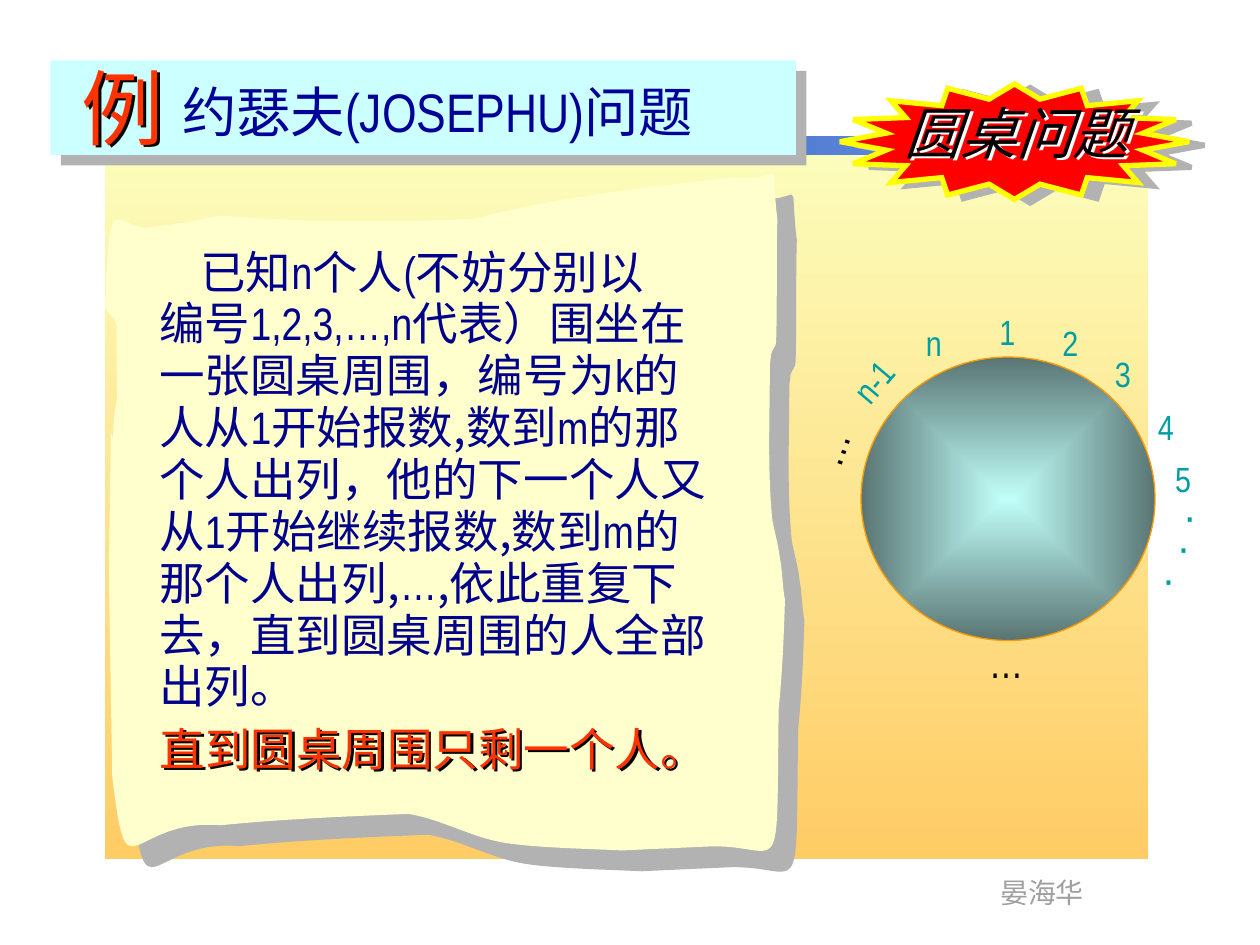
from lxml import etree
from pptx import Presentation
from pptx.dml.color import RGBColor
from pptx.enum.shapes import MSO_SHAPE
from pptx.enum.text import MSO_AUTO_SIZE, PP_ALIGN
from pptx.oxml import parse_xml
from pptx.oxml.ns import nsdecls, qn
from pptx.util import Pt

RECT, OVAL, STAR = MSO_SHAPE.RECTANGLE, MSO_SHAPE.OVAL, MSO_SHAPE.STAR_16_POINT
GROW = MSO_AUTO_SIZE.SHAPE_TO_FIT_TEXT
CENTER = PP_ALIGN.CENTER

CREAM, SAND = RGBColor(0xFC, 0xFE, 0xBC), RGBColor(0xFF, 0xCC, 0x66)
STEEL, SKY = RGBColor(0x2F, 0x47, 0x76), RGBColor(0x66, 0x99, 0xFF)
MINT, MOSS = RGBColor(0xC1, 0xFE, 0xF9), RGBColor(0x59, 0x75, 0x73)
PAPER, ICE = RGBColor(0xFF, 0xFF, 0xCD), RGBColor(0xCC, 0xFF, 0xFF)
RED, YELLOW = RGBColor(0xFF, 0, 0), RGBColor(0xFF, 0xFF, 0)
ORANGE, FLAME = RGBColor(0xFF, 0x99, 0), RGBColor(0xFF, 0x33, 0)
NAVY, BLUE = RGBColor(0, 0, 0x8C), RGBColor(0, 0, 0x99)
TEAL, BLACK = RGBColor(0, 0x9E, 0xA1), RGBColor(0, 0, 0)
GRAY, SILVER = RGBColor(0x9F, 0x9F, 0x9F), RGBColor(0xB2, 0xB2, 0xB2)
WHITE = RGBColor(0xFF, 0xFF, 0xFF)

NARROW, HAN, KANJI = "Arial Narrow", "Noto Sans CJK SC", "Noto Sans CJK JP"

BODY = [
    ["已知", "n", "个人", "(", "不妨分别以"],
    ["编号", "1,2,3,…,n", "代表）围坐在"],
    ["一张圆桌周围，编号为", "k", "的"],
    ["人从", "1", "开始报数,数到", "m", "的那"],
    ["个人出列，他的下一个人又"],
    ["从", "1", "开始继续报数,数到", "m", "的"],
    ["那个人出列,", "…", ",依此重复下"],
    ["去，直到圆桌周围的人全部"],
    ["出列。"],
]

SEATS = [
    ("1", 564, 174, 36, 31, 20, TEAL, 0),
    ("2", 600, 180, 36, 31, 20, TEAL, 0),
    ("3", 630, 198, 36, 31, 20, TEAL, 0),
    ("n", 522, 180, 42, 31, 20, TEAL, 0),
    ("…", 558, 360, 52, 36, 24, BLACK, 0),
    ("4", 654, 228, 24.5, 31, 20, TEAL, 0),
    ("5", 664.5, 258, 24.5, 31, 20, TEAL, 0),
    ("·", 669.6, 276, 20, 36, 24, TEAL, 0),
    ("·", 666, 294, 20, 36, 24, TEAL, 0),
    ("·", 657.4, 312, 20, 36, 24, TEAL, 0),
    ("n-1", 474.5, 190.8, 68.4, 31, 20, TEAL, 310.4),
    ("…", 451.4, 229.5, 52, 36, 24, BLACK, 288.9),
]

START = (1.12, 1.81)
CURVES = [
    (1.34, 1.79, 1.53, 1.76, 1.74, 1.71),
    (2.42, 1.77, 3.03, 1.76, 3.75, 1.74),
    (4.43, 1.56, 5.12, 1.49, 5.81, 1.41),
    (6.25, 1.46, 6.1, 1.17, 6.17, 1.74),
    (6.16, 2.07, 6.17, 2.39, 6.16, 2.71),
    (6.16, 2.75, 6.13, 2.77, 6.12, 2.81),
    (6.12, 2.84, 6.11, 2.87, 6.11, 2.91),
    (6.11, 3.32, 6.09, 3.74, 6.13, 4.13),
    (6.15, 4.23, 6.18, 4.34, 6.19, 4.43),
    (6.21, 4.53, 6.21, 4.66, 6.23, 4.76),
    (6.22, 5.08, 6.21, 5.32, 6.18, 5.63),
    (6.16, 7.13, 6.23, 6.68, 5.59, 6.72),
    (5.37, 6.73, 5.15, 6.74, 4.94, 6.75),
    (4.76, 6.74, 4.25, 6.73, 4.01, 6.69),
    (3.75, 6.65, 3.5, 6.5, 3.24, 6.46),
    (2.74, 6.48, 2.25, 6.5, 1.75, 6.55),
    (1.01, 6.49, 1.01, 7.17, 0.89, 6.15),
    (0.86, 4.09, 0.86, 5.03, 0.88, 3.34),
    (0.88, 3.38, 0.88, 3.45, 0.89, 3.47),
    (0.9, 3.49, 0.9, 3.4, 0.9, 3.37),
    (0.93, 3.1, 0.9, 3.36, 0.93, 3.14),
    (0.91, 2.43, 0.97, 2.63, 0.83, 2.44),
    (0.84, 2.33, 0.84, 2.22, 0.85, 2.11),
    (0.88, 1.53, 0.94, 1.81, 1.19, 1.81),
]

prs = Presentation()
prs.slide_width, prs.slide_height = Pt(720), Pt(540)
slide = prs.slides.add_slide(prs.slide_layouts[6])
shapes = slide.shapes


def cast(shape, dist, turn, tint=SILVER):
    shape.shadow.inherit = False
    props = shape._element.spPr
    props.replace(props.find(qn("a:effectLst")), parse_xml(
        f'<a:effectLst {nsdecls("a")}><a:outerShdw dist="{Pt(dist)}" '
        f'dir="{turn * 60000}" algn="ctr" rotWithShape="0">'
        f'<a:srgbClr val="{tint}"/></a:outerShdw></a:effectLst>'))


def paint(shape, fill, line=None, width=0, shade=None):
    shape.shadow.inherit = False
    shape.fill.solid()
    shape.fill.fore_color.rgb = fill
    if line is None:
        shape.line.fill.background()
    else:
        shape.line.color.rgb = line
        shape.line.width = Pt(width)
        etree.SubElement(shape.line._get_or_add_ln(), qn("a:miter"), lim="800000")
    if shade:
        cast(shape, *shade)


def blend(shape, first, last, angle=0):
    shape.fill.gradient()
    shape.fill.gradient_angle = angle
    for stop, tint, place in zip(shape.fill.gradient_stops, (first, last), (0, 1)):
        stop.color.rgb = tint
        stop.position = place


def block(kind, x, y, w, h, *look, **more):
    shape = shapes.add_shape(kind, Pt(x), Pt(y), Pt(w), Pt(h))
    paint(shape, *look, **more)
    return shape


def frame(x, y, w, h, wrap=True):
    box = shapes.add_textbox(Pt(x), Pt(y), Pt(w), Pt(h))
    box.text_frame.word_wrap = wrap
    box.text_frame.auto_size = GROW
    return box


def style(para, size, tint, face=None):
    para.font.size = Pt(size)
    para.font.color.rgb = tint
    if face:
        para.font.name = face


def label(text, x, y, w, h, size, tint, turn=0, face=NARROW, wrap=True, shade=None):
    box = frame(x, y, w, h, wrap)
    box.rotation = turn
    para = box.text_frame.paragraphs[0]
    para.add_run().text = text
    style(para, size, tint, face)
    if shade is not None:
        cast(box, 2, 45, shade)
    return para


def sheet():
    dots = [pair for c in CURVES for pair in (c[:2], c[2:4], c[4:])]
    pen = shapes.build_freeform(START[0] * 7200, START[1] * 7200, scale=Pt(1) / 100)
    pen.add_line_segments([(x * 7200, y * 7200) for x, y in dots], close=True)
    shape = pen.convert_to_shape()
    lines = list(shape._element.iter(qn("a:lnTo")))
    for i in range(0, len(dots) * 1, 3):
        curve = etree.Element(qn("a:cubicBezTo"))
        lines[i].addprevious(curve)
        for line in lines[i:i + 3]:
            curve.append(line[0])
            line.getparent().remove(line)
    return shape


blend(block(RECT, 59.8, 79.2, 596, 412, CREAM), CREAM, SAND, 270)
blend(block(RECT, 60.5, 77.8, 595.5, 10.8, STEEL), STEEL, SKY)
label("晏海华", 564.5, 497, 62.6, 26.6, 16, GRAY, wrap=False)

paint(sheet(), PAPER, shade=(16.3, 47))

story = frame(54, 138, 414, 275).text_frame
for i, row in enumerate(BODY):
    para = story.add_paragraph() if i else story.paragraphs[0]
    para.line_spacing = 0.95
    props = para._p.get_or_add_pPr()
    props.set("marL", str(Pt(30)))
    props.set("indent", str(Pt(0 if i else 23.5)))
    style(para, 26, NAVY)
    for text in row:
        run = para.add_run()
        run.text = text
        run.font.name = HAN if any(c >= "一" for c in text) else NARROW

star = block(STAR, 480, 48, 199.5, 66, RED, YELLOW, 3, shade=(9.2, 13))
star.adjustments[0] = 0.375
label("圆桌问题", 510, 52.5, 168, 46, 32, BLACK, shade=WHITE).font.italic = True

block(RECT, 28.8, 34.5, 426, 54, ICE, shade=(8.5, 45))
label("约瑟夫(JOSEPHU)问题", 97.2, 41.2, 389, 44.6, 31, BLUE)
label("例", 39.6, 29, 61, 63.4, 47, FLAME, face=KANJI, wrap=False, shade=BLACK)
label("直到圆桌周围只剩一个人。", 84.2, 408.2, 352, 38, 26, FLAME, shade=BLACK)

table = block(OVAL, 492, 204, 168, 162, MINT, ORANGE, 0.75)
blend(table, MINT, MOSS)
grad = table._element.spPr.find(qn("a:gradFill"))
grad.remove(grad.find(qn("a:lin")))
path = etree.SubElement(grad, qn("a:path"), {"path": "shape"})
etree.SubElement(path, qn("a:fillToRect"), dict.fromkeys("ltrb", "50000"))

for seat in SEATS:
    para = label(*seat, wrap=seat[3] > 25)
    if seat[0] == "4":
        para.alignment = CENTER

prs.save("out.pptx")
